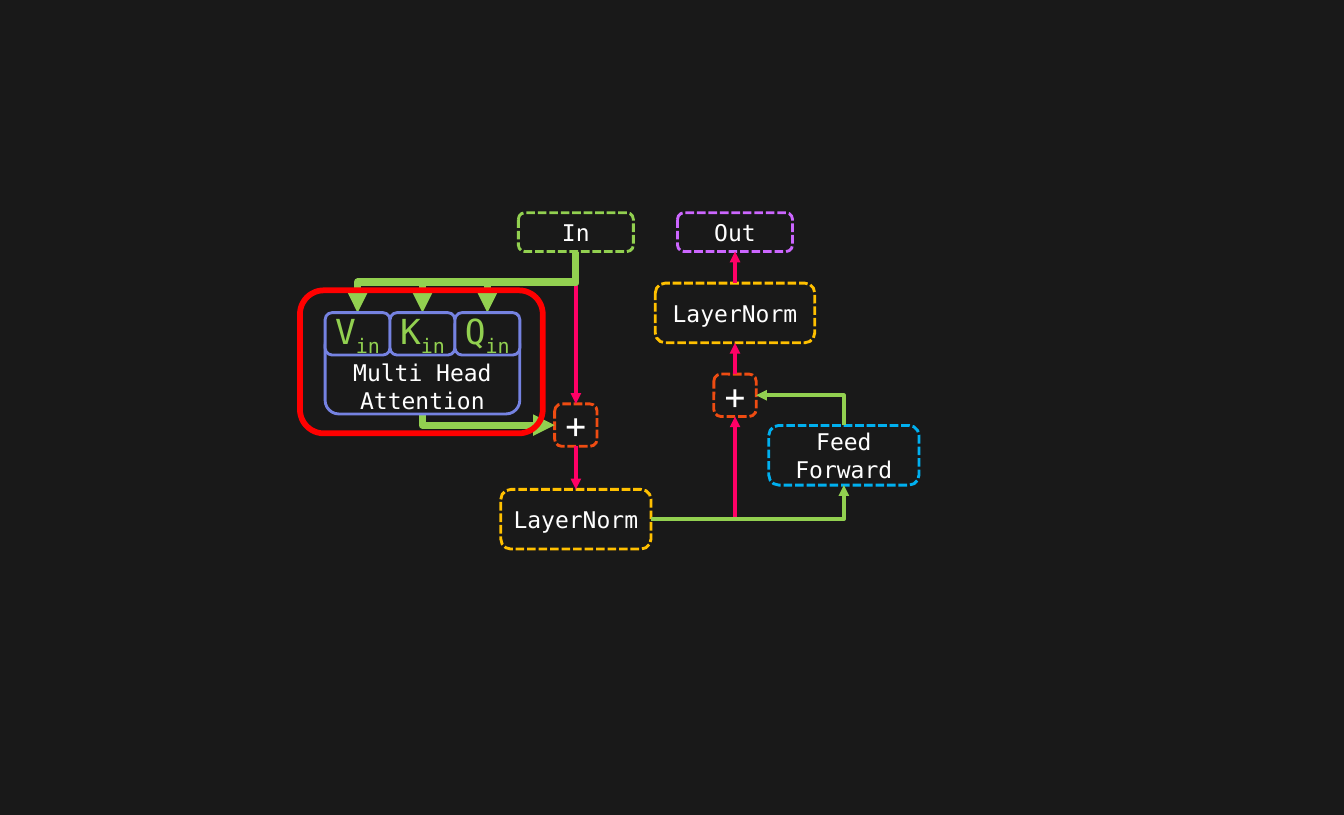
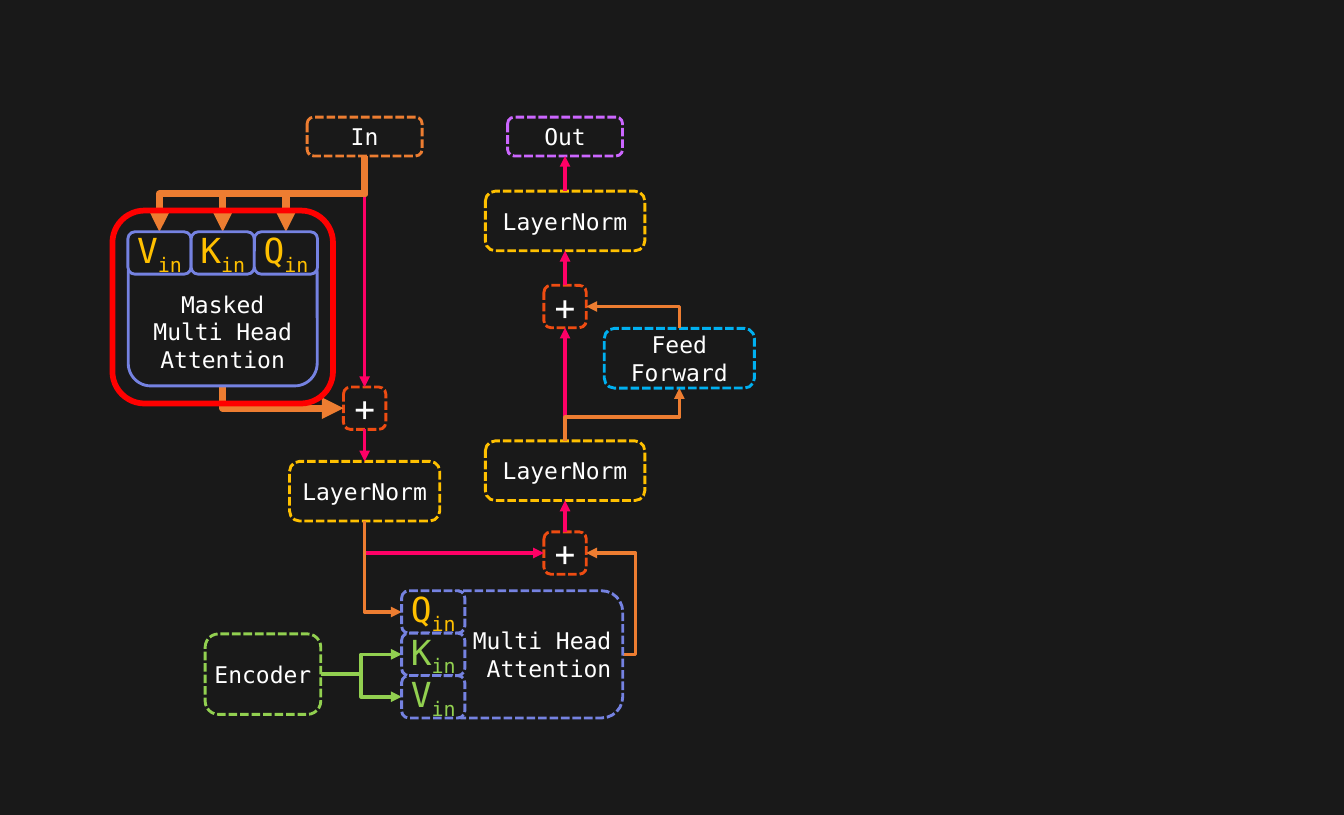
from collections import namedtuple

from lxml import etree
from pptx import Presentation
from pptx.dml.color import RGBColor
from pptx.enum import dml, shapes, text
from pptx.oxml.ns import qn
from pptx.util import Pt

BACK = RGBColor(0x19, 0x19, 0x19)
WHITE = RGBColor(0xFF, 0xFF, 0xFF)
GREEN = RGBColor(0x92, 0xD0, 0x50)
ORANGE = RGBColor(0xED, 0x7D, 0x31)
PURPLE = RGBColor(0xCC, 0x66, 0xFF)
CYAN = RGBColor(0x00, 0xB0, 0xF0)
AMBER = RGBColor(0xFF, 0xC0, 0x00)
RUST = RGBColor(0xEE, 0x4C, 0x12)
BLUE = RGBColor(0x75, 0x82, 0xE1)
RED = RGBColor(0xFF, 0x00, 0x00)
PINK = RGBColor(0xFF, 0x00, 0x66)
FONT = "DejaVu Sans Mono"
THIN, THICK = 5, 10
TEXT_LINE = 37.25

PORT = (160, 54)
ADD = (59, 59)
NORM = (209, 83)
WIDE_NORM = (222, 83)
CELL_H = 59

Box = namedtuple("Box", "name label cx top size colour style", defaults=[{}])
SOLID = {"dashed": False}
UNDER_CELLS = {"dashed": False, "top_inset": 3.6 + TEXT_LINE}
HIGHLIGHT = {"dashed": False, "weight": 8}


def cell(name, cx, top, width, ink, dashed=False):
    style = {"dashed": dashed, "fill": BACK, "ink": ink, "size": 48,
             "sub": "in", "side_inset": 3}
    return Box(name, name[0], cx, top, (width, CELL_H), BLUE, style)


def cell_row(names, cx, top, width, ink):
    step = width / len(names)
    left = cx - width / 2
    return [cell(n, left + (i + 0.5) * step, top, step, ink) for i, n in enumerate(names)]


def cell_column(cells, cx, top, width):
    return [cell(n, cx, top + i * CELL_H, width, ink, True) for i, (n, ink) in enumerate(cells)]


ENCODER = {
    "blocks": [
        Box("in", "In", 801.5, 296, PORT, GREEN),
        Box("out", "Out", 1023, 296, PORT, PURPLE),
        Box("feed", "Feed Forward", 1174.5, 592, NORM, CYAN),
        Box("add1", "+", 801.5, 562, ADD, RUST, {"size": 48}),
        Box("norm1", "LayerNorm", 801.5, 681, NORM, AMBER),
        Box("add2", "+", 1023, 520.5, ADD, RUST, {"size": 48}),
        Box("norm2", "LayerNorm", 1023, 394, WIDE_NORM, AMBER),
    ],
    "links": [
        ("in.b", "add1.t", PINK, THIN),
        ("add1.b", "norm1.t", PINK, THIN),
        ("norm1.r", "add2.b", PINK, THIN),
        ("add2.t", "norm2.b", PINK, THIN),
        ("norm2.t", "out.b", PINK, THIN),
        ("norm1.r", "feed.b", GREEN, THIN),
        ("feed.t", "add2.r", GREEN, THIN),
        ("in.b", "V.t", GREEN, THICK),
        ("in.b", "K.t", GREEN, THICK),
        ("in.b", "Q.t", GREEN, THICK),
        ("attention.b", "add1.l", GREEN, THICK),
    ],
    "attention": [
        Box("highlight", "", 586.5, 404, (338, 199), RED, HIGHLIGHT),
        Box("attention", "Multi Head Attention", 588, 461, (271, 115), BLUE, UNDER_CELLS),
        *cell_row("VKQ", 588, 435, 271, GREEN),
    ],
}

DECODER = {
    "blocks": [
        Box("in", "In", 507.5, 163, PORT, ORANGE),
        Box("out", "Out", 786.5, 163, PORT, PURPLE),
        Box("feed", "Feed Forward", 945.5, 457, NORM, CYAN),
        Box("add1", "+", 507.5, 538.5, ADD, RUST, {"size": 48}),
        Box("norm1", "LayerNorm", 507.5, 642, NORM, AMBER),
        Box("add2", "+", 786.5, 740, ADD, RUST, {"size": 48}),
        Box("norm2", "LayerNorm", 786.5, 613.5, WIDE_NORM, AMBER),
        Box("add3", "+", 786.5, 397, ADD, RUST, {"size": 48}),
        Box("norm3", "LayerNorm", 786.5, 266, WIDE_NORM, AMBER),
        Box("encoder", "Encoder", 366, 882, (161, 112), GREEN),
    ],
    "links": [
        ("in.b", "add1.t", PINK, THIN),
        ("add1.b", "norm1.t", PINK, THIN),
        ("norm1.b", "add2.l", PINK, THIN),
        ("add2.t", "norm2.b", PINK, THIN),
        ("norm2.t", "add3.b", PINK, THIN),
        ("add3.t", "norm3.b", PINK, THIN),
        ("norm3.t", "out.b", PINK, THIN),
        ("norm1.b", "Q2.l", ORANGE, THIN),
        ("cross.r", "add2.r", ORANGE, THIN, -0.35),
        ("norm2.t", "feed.b", ORANGE, THIN, 0.45),
        ("feed.t", "add3.r", ORANGE, THIN),
        ("in.b", "V.t", ORANGE, THICK),
        ("in.b", "K.t", ORANGE, THICK),
        ("in.b", "Q.t", ORANGE, THICK),
        ("attention.b", "add1.l", ORANGE, THICK),
        ("encoder.r", "K2.l", GREEN, THIN),
        ("encoder.r", "V2.l", GREEN, THIN),
    ],
    "attention": [
        Box("highlight", "", 310, 293, (307, 268.5), RED, HIGHLIGHT),
        Box("attention", "Masked Multi Head Attention", 310, 348.5, (263, 188.5), BLUE,
            UNDER_CELLS),
        *cell_row("VKQ", 310, 322.5, 264, AMBER),
        Box("cross", "Multi Head Attention", 740, 822, (253.5, 3 * CELL_H), BLUE,
            {"align": text.PP_ALIGN.RIGHT}),
        *cell_column([("Q2", AMBER), ("K2", GREEN), ("V2", GREEN)], 603, 822, 88),
    ],
}


def add_run(p, words, size=32, ink=WHITE, baseline=None):
    r = p.add_run()
    r.text = words
    r.font.size = Pt(size)
    r.font.name = FONT
    r.font.color.rgb = ink
    if baseline:
        r._r.get_or_add_rPr().set("baseline", str(baseline))


def add_box(slide, box, dashed=True, weight=4, fill=None, size=32, ink=WHITE, sub="",
            align=text.PP_ALIGN.CENTER, side_inset=7.2, top_inset=3.6):
    w, h = box.size
    sp = slide.shapes.add_shape(shapes.MSO_SHAPE.ROUNDED_RECTANGLE,
                                Pt(box.cx - w / 2), Pt(box.top), Pt(w), Pt(h))
    sp.shadow.inherit = False
    if fill is None:
        sp.fill.background()
    else:
        sp.fill.solid()
        sp.fill.fore_color.rgb = fill
    sp.line.color.rgb = box.colour
    sp.line.width = Pt(weight)
    if dashed:
        sp.line.dash_style = dml.MSO_LINE.SQUARE_DOT
    if not box.label:
        return
    tf = sp.text_frame
    tf.word_wrap = True
    tf.vertical_anchor = text.MSO_ANCHOR.MIDDLE
    tf.margin_left = tf.margin_right = Pt(side_inset)
    tf.margin_top = Pt(top_inset)
    p = tf.paragraphs[0]
    p.alignment = align
    add_run(p, box.label, size, ink)
    if sub:
        add_run(p, sub, size, ink, -25000)


def anchor(boxes, place):
    name, side = place.split(".")
    box = boxes[name]
    w, h = box.size
    dx = {"l": -w / 2, "r": w / 2}.get(side, 0)
    dy = {"t": 0, "b": h}.get(side, h / 2)
    return box.cx + dx, box.top + dy, side in "tb"


def add_link(slide, boxes, start, end, colour, weight, adjust=0.5):
    x1, y1, upright = anchor(boxes, start)
    x2, y2, ends_upright = anchor(boxes, end)
    dx, dy = x2 - x1, y2 - y1
    straight = dx == 0 or dy == 0
    turned = upright and not straight
    if turned:
        mx, my = (x1 + x2) / 2, (y1 + y2) / 2
        half_w = abs(dy) / 2 * (-1 if dx > 0 else 1)
        half_h = abs(dx) / 2 * (-1 if dy < 0 else 1)
        x1, y1, x2, y2 = mx - half_w, my - half_h, mx + half_w, my + half_h
    kind = shapes.MSO_CONNECTOR.STRAIGHT if straight else shapes.MSO_CONNECTOR.ELBOW
    link = slide.shapes.add_connector(kind, Pt(x1), Pt(y1), Pt(x2), Pt(y2))
    link.line.color.rgb = colour
    link.line.width = Pt(weight)
    props = link._element.spPr
    if turned:
        angle = 90 if dx * dy < 0 else 270
        props.find(qn("a:xfrm")).set("rot", str(angle * 60000))
    geometry = props.find(qn("a:prstGeom"))
    if not straight and upright != ends_upright:
        geometry.set("prst", "bentConnector2")
    elif not straight:
        guide = etree.SubElement(geometry.find(qn("a:avLst")), qn("a:gd"))
        guide.set("name", "adj1")
        guide.set("fmla", f"val {round(adjust * 100000)}")
    etree.SubElement(props.find(qn("a:ln")), qn("a:tailEnd")).set("type", "triangle")
    etree.SubElement(props, qn("a:effectLst"))


def add_diagram(prs, diagram):
    slide = prs.slides.add_slide(prs.slide_layouts[6])
    slide.background.fill.solid()
    slide.background.fill.fore_color.rgb = BACK
    boxes = {b.name: b for b in diagram["blocks"] + diagram["attention"]}
    for box in diagram["blocks"]:
        add_box(slide, box, **box.style)
    for link in diagram["links"]:
        add_link(slide, boxes, *link)
    for box in diagram["attention"]:
        add_box(slide, box, **box.style)


def main():
    prs = Presentation()
    prs.slide_width, prs.slide_height = Pt(1870.56), Pt(1134)
    for diagram in (ENCODER, DECODER):
        add_diagram(prs, diagram)
    prs.save("out.pptx")


if __name__ == "__main__":
    main()
